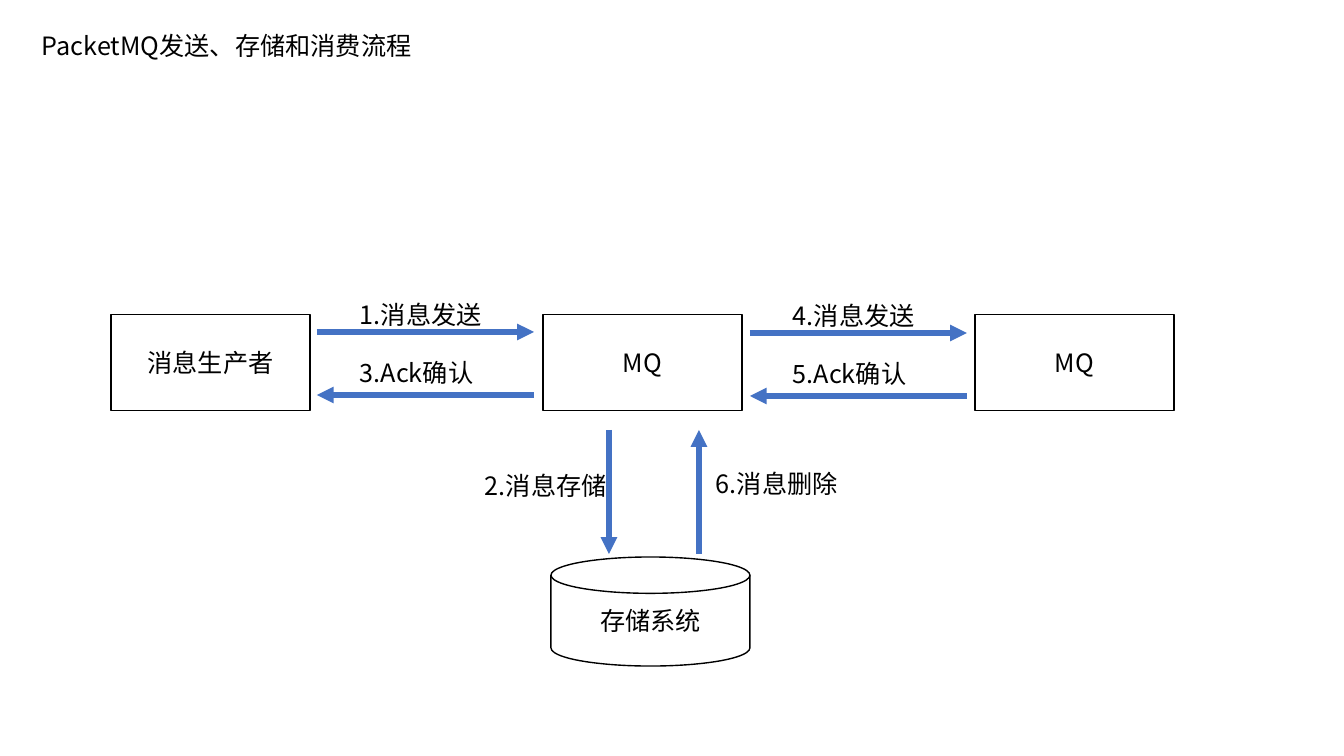
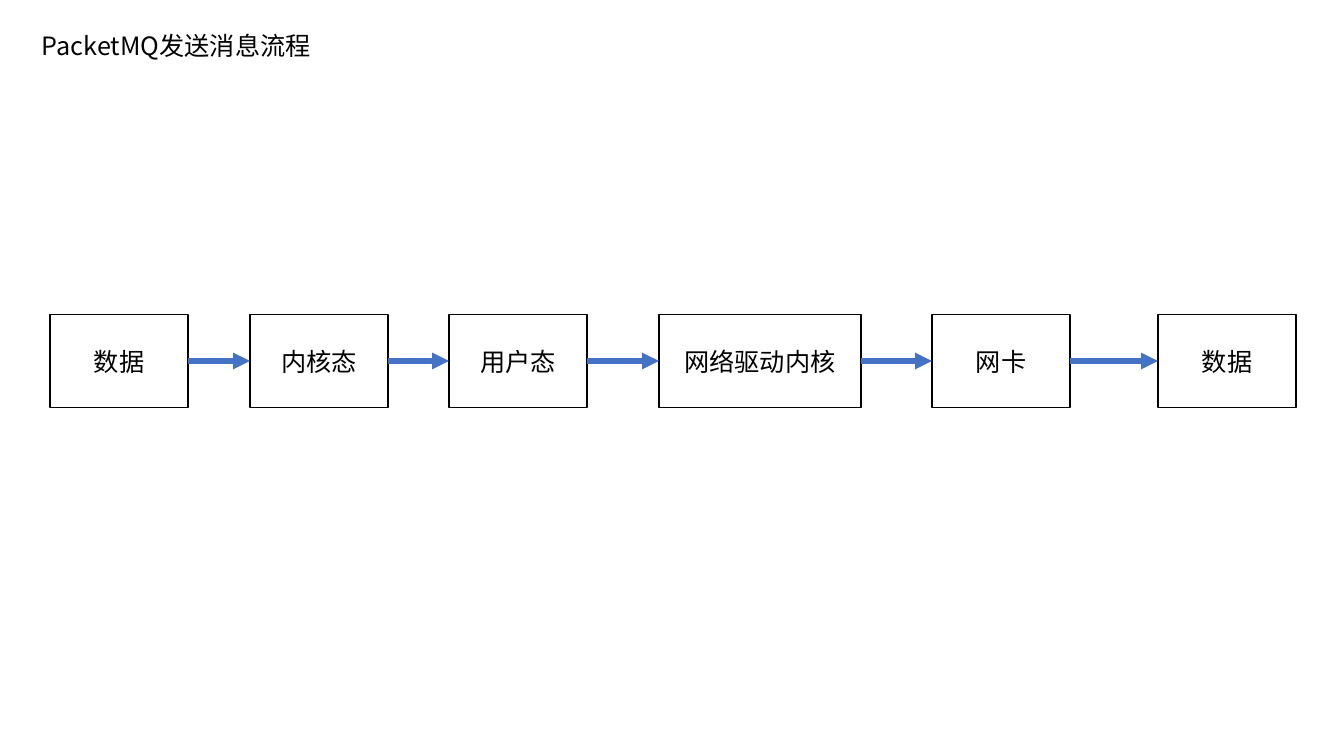
import pptx
import pptx.util
import pptx.dml.color
import pptx.enum.shapes
import pptx.enum.text
import pptx.oxml
import pptx.oxml.ns

PX = 914400 / 100.8
FONT = "Noto Sans CJK SC"
BLACK = pptx.dml.color.RGBColor(0x00, 0x00, 0x00)
WHITE = pptx.dml.color.RGBColor(0xFF, 0xFF, 0xFF)
BLUE = pptx.dml.color.RGBColor(0x44, 0x72, 0xC4)
RECT = pptx.enum.shapes.MSO_SHAPE.RECTANGLE
DISK = pptx.enum.shapes.MSO_SHAPE.FLOWCHART_MAGNETIC_DISK
TITLE = (32, 25, 471, 40)


def add_text(s, text, x, y, w, h, outline=None):
    """Add an outlined shape with centred text, or a plain text box."""
    place = [round(v * PX) for v in (x, y, w, h)]
    if outline is None:
        sp = s.shapes.add_textbox(*place)
    else:
        sp = s.shapes.add_shape(outline, *place)
        sp.shadow.inherit = False
        sp.fill.solid()
        sp.fill.fore_color.rgb = WHITE
        sp.line.color.rgb = BLACK
        sp.line.width = pptx.util.Pt(1)
    tf = sp.text_frame
    tf.word_wrap = True
    tf.text = text
    p = tf.paragraphs[0]
    if outline is None:
        tf.auto_size = pptx.enum.text.MSO_AUTO_SIZE.SHAPE_TO_FIT_TEXT
    else:
        tf.vertical_anchor = pptx.enum.text.MSO_ANCHOR.MIDDLE
        p.alignment = pptx.enum.text.PP_ALIGN.CENTER
    r = p.runs[0]
    r.font.size = pptx.util.Pt(18)
    r.font.name = FONT
    r.font.color.rgb = BLACK
    ea = pptx.oxml.ns.qn("a:ea")
    r.font._element.find(pptx.oxml.ns.qn("a:latin")).addnext(
        r.font._element.makeelement(ea, {"typeface": FONT}))
    return sp


def add_arrow(s, x1, y1, x2, y2):
    ends = [round(v * PX) for v in (x1, y1, x2, y2)]
    c = s.shapes.add_connector(pptx.enum.shapes.MSO_CONNECTOR.STRAIGHT, *ends)
    c.line.color.rgb = BLUE
    c.line.width = pptx.util.Pt(4)
    props = c._element.spPr
    ln = props.find(pptx.oxml.ns.qn("a:ln"))
    ln.append(ln.makeelement(pptx.oxml.ns.qn("a:tailEnd"), {"type": "triangle"}))
    props.append(props.makeelement(pptx.oxml.ns.qn("a:effectLst"), {}))
    return c


prs = pptx.Presentation()
prs.slide_width = round(1344 * PX)
prs.slide_height = round(756 * PX)
blank = prs.slide_layouts[6]

# Slide 1: sending, storing and consuming
s = prs.slides.add_slide(blank)
add_text(s, "PacketMQ发送、存储和消费流程", *TITLE)
for i, name in enumerate(("消息生产者", "MQ", "MQ")):
    add_text(s, name, 111 + 432 * i, 314.5, 199, 96, RECT)

# Exchanges between neighbouring boxes
for i, (send, ack) in enumerate((("1.消息发送", "3.Ack确认"),
                                 ("4.消息发送", "5.Ack确认"))):
    dx = 433 * i
    add_arrow(s, 317 + dx, 332 + i, 534 + dx, 332 + i)
    add_arrow(s, 534 + dx, 395 + i, 317 + dx, 395 + i)
    add_text(s, send, 350 + dx, 294 + i, 153, 40)
    add_text(s, ack, 350 + dx, 352 + i, 153, 40)

# Storage below the queue
add_text(s, "存储系统", 551, 557, 199, 109, DISK)
add_arrow(s, 609, 430, 609, 554)
add_arrow(s, 699, 554, 699, 430)
add_text(s, "2.消息存储", 475, 465, 153, 40)
add_text(s, "6.消息删除", 706, 463, 153, 40)

# Slide 2: path of a sent message
s = prs.slides.add_slide(blank)
add_text(s, "PacketMQ发送消息流程", *TITLE)
stages = [("数据", 50, 138), ("内核态", 250, 138), ("用户态", 449, 138),
          ("网络驱动内核", 659, 202), ("网卡", 932, 138), ("数据", 1158, 138)]
boxes = [add_text(s, name, x, 314.5, w, 93, RECT) for name, x, w in stages]

# Arrows glued from the right side of a stage to the left side of the next
for i in range(len(stages) - 1):
    name, x, w = stages[i]
    c = add_arrow(s, x + w, 361, stages[i + 1][1], 361)
    c.begin_connect(boxes[i], 3)
    c.end_connect(boxes[i + 1], 1)

prs.save("out.pptx")
